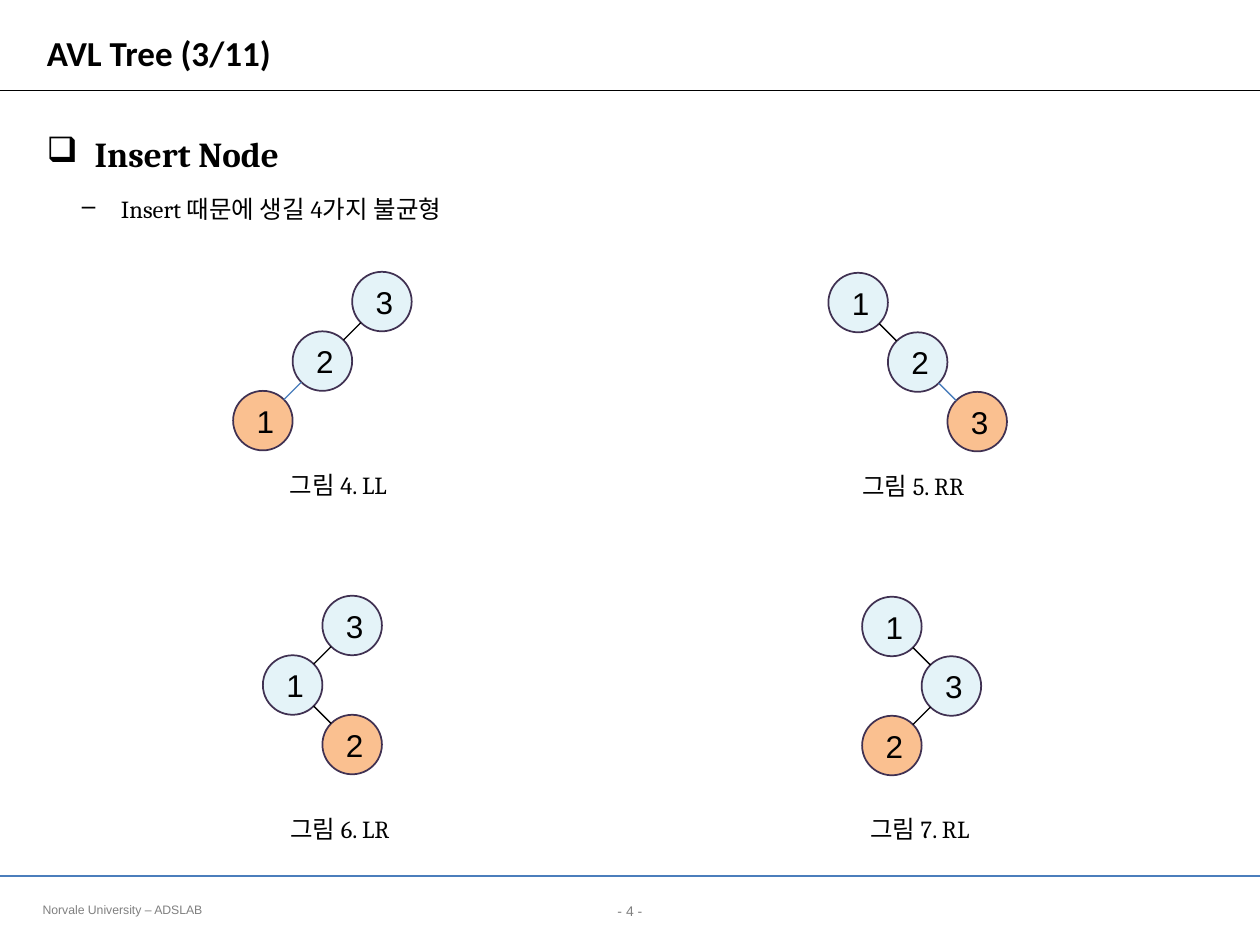
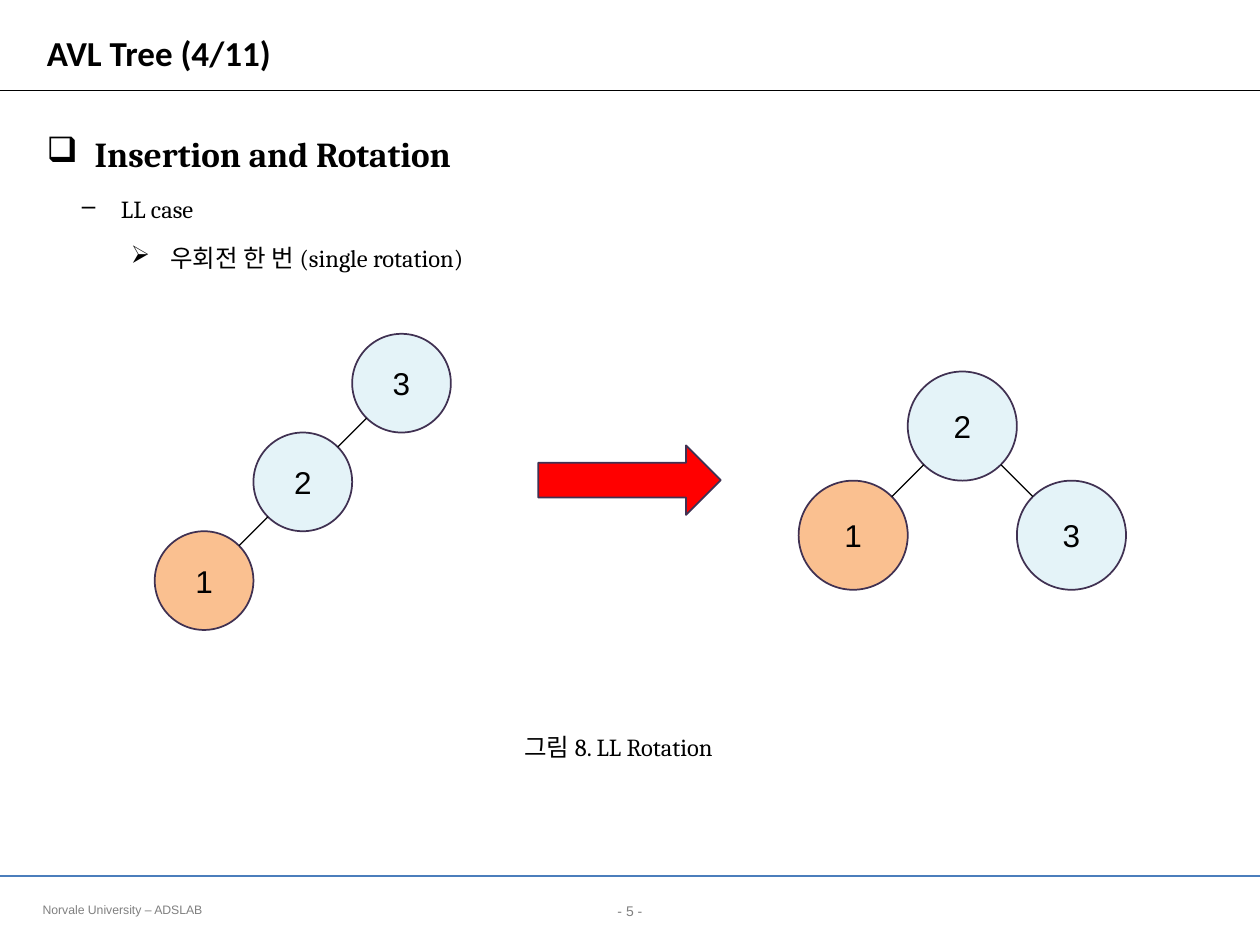
"""Build two AVL tree slides: the four insertion imbalances and the LL rotation."""
from dataclasses import dataclass

from lxml import etree
from pptx import Presentation
from pptx import util as u
from pptx.dml.color import RGBColor
from pptx.enum import shapes, text
from pptx.oxml.ns import qn


@dataclass(frozen=True)
class Theme:
    ink: str = "000000"
    grey: str = "808080"
    blue: str = "4B7EBC"
    outline: str = "403152"
    node: str = "E4F3F8"
    new_node: str = "FAC090"
    arrow: str = "FF0000"
    title_font: str = "Calibri"
    body_font: str = "Cambria"
    plain_font: str = "Arial"
    heading: float = 20
    label: float = 18
    body: float = 14
    page: float = 8
    footer: float = 7


T = Theme()


def add_run(p, words, size, font, color=T.ink, bold=False):
    r = p.add_run()
    r.text = words
    r.font.size = u.Pt(size)
    r.font.name = font
    r.font.bold = bold
    r.font.color.rgb = RGBColor.from_string(color)


def add_line(parent, x1, y1, x2, y2, color=T.ink, width=0.75):
    cx = parent.add_connector(shapes.MSO_CONNECTOR.STRAIGHT,
                              u.Cm(x1), u.Cm(y1), u.Cm(x2), u.Cm(y2))
    cx.line.color.rgb = RGBColor.from_string(color)
    cx.line.width = u.Pt(width)
    etree.SubElement(cx._element.spPr, qn("a:effectLst"))


WIDTH, HEIGHT = 25.4, 19.05
LEFT_MARGIN = 0.69
LEVELS = {
    "❑": (0.97, -0.97, T.heading, True),
    "–": (1.5, -0.79, T.body, False),
    "➢": (2.49, -0.79, T.body, False),
}

# Trees: left, top, node diameter, nodes as (label, column, row), new label, last edge colour.
SLIDES = [
    dict(
        page=4,
        title="AVL Tree (3/11)",
        outline=[("❑", "Insert Node"), ("–", "Insert 때문에 생길 4가지 불균형")],
        trees=[
            (4.7, 5.48, 1.2, [("3", 2, 0), ("2", 1, 1), ("1", 0, 2)], "1", T.blue),
            (16.7, 5.5, 1.2, [("1", 0, 0), ("2", 1, 1), ("3", 2, 2)], "3", T.blue),
            (5.3, 12.01, 1.2, [("3", 1, 0), ("1", 0, 1), ("2", 1, 2)], "2", T.ink),
            (17.38, 12.03, 1.2, [("1", 0, 0), ("3", 1, 1), ("2", 0, 2)], "2", T.ink),
        ],
        captions=[
            (5.59, 9.35, 2.64, "그림 4. LL"),
            (17.13, 9.37, 2.74, "그림 5. RR"),
            (5.6, 16.28, 2.7, "그림 6. LR"),
            (17.29, 16.28, 2.7, "그림 7. RL"),
        ],
        arrows=[],
    ),
    dict(
        page=5,
        title="AVL Tree (4/11)",
        outline=[("❑", "Insertion and Rotation"), ("–", "LL case"),
                 ("➢", "우회전 한 번 (single rotation)")],
        trees=[
            (3.12, 6.73, 1.99, [("3", 2, 0), ("2", 1, 1), ("1", 0, 2)], "1", T.ink),
            (16.1, 7.49, 2.2, [("1", 0, 1), ("2", 1, 0), ("3", 2, 1)], "1", T.ink),
        ],
        captions=[(10.32, 14.63, 4.6, "그림 8. LL Rotation")],
        arrows=[(10.85, 8.98, 3.68, 1.4)],
    ),
]

prs = Presentation()
prs.slide_width, prs.slide_height = u.Cm(WIDTH), u.Cm(HEIGHT)

for content in SLIDES:
    s = prs.slides.add_slide(prs.slide_layouts[5])
    add_line(s.shapes, 0, 1.83, WIDTH, 1.83)
    add_line(s.shapes, 0, 17.66, WIDTH, 17.66, T.blue, 1.5)

    sp = s.shapes.title
    sp.left, sp.top, sp.width, sp.height = (u.Cm(v) for v in (LEFT_MARGIN, 0.53, 23.85, 1.07))
    tf = sp.text_frame
    tf.auto_size = text.MSO_AUTO_SIZE.NONE
    tf.vertical_anchor = text.MSO_ANCHOR.MIDDLE
    p = tf.paragraphs[0]
    p.alignment = text.PP_ALIGN.LEFT
    add_run(p, content["title"], T.heading, T.title_font, bold=True)

    sp = s.shapes.add_textbox(u.Cm(LEFT_MARGIN), u.Cm(2.13), u.Cm(23.83), u.Cm(14.6))
    tf = sp.text_frame
    tf.word_wrap = True
    for i, (bullet, words) in enumerate(content["outline"]):
        indent, hanging, size, bold = LEVELS[bullet]
        p = tf.paragraphs[0] if i == 0 else tf.add_paragraph()
        p.line_spacing = 1.5
        p.space_before = u.Pt(0.2 * size if i else 0)
        pPr = p._p.get_or_add_pPr()
        pPr.set("marL", str(u.Cm(indent)))
        pPr.set("indent", str(u.Cm(hanging)))
        etree.SubElement(pPr, qn("a:buChar")).set("char", bullet)
        add_run(p, words, size, T.body_font, bold=bold)

    for left, top, d, nodes, new_label, last_color in content["trees"]:
        tree = s.shapes.add_group_shape().shapes
        for label, col, row in nodes:
            sp = tree.add_shape(shapes.MSO_SHAPE.OVAL, u.Cm(left + col * d),
                                u.Cm(top + row * d), u.Cm(d), u.Cm(d))
            sp.shadow.inherit = False
            sp.fill.solid()
            fill = T.new_node if label == new_label else T.node
            sp.fill.fore_color.rgb = RGBColor.from_string(fill)
            sp.line.color.rgb = RGBColor.from_string(T.outline)
            sp.line.width = u.Pt(1)
            tf = sp.text_frame
            tf.margin_left = tf.margin_right = u.Cm(0.3)
            tf.margin_top = tf.margin_bottom = u.Cm(0.1)
            tf.vertical_anchor = text.MSO_ANCHOR.MIDDLE
            p = tf.paragraphs[0]
            p.alignment = text.PP_ALIGN.CENTER
            add_run(p, label, T.label, T.plain_font)
        for (_, c1, r1), (end_label, c2, r2) in zip(nodes, nodes[1:]):
            x1, y1 = left + (c1 + 0.5) * d, top + (r1 + 0.5) * d
            trim_x, trim_y = 0.354 * d * (c2 - c1), 0.354 * d * (r2 - r1)
            x2, y2 = x1 + (c2 - c1) * d, y1 + (r2 - r1) * d
            color = last_color if end_label == nodes[-1][0] else T.ink
            add_line(tree, x1 + trim_x, y1 + trim_y, x2 - trim_x, y2 - trim_y, color)

    for left, top, width, height in content["arrows"]:
        sp = s.shapes.add_shape(shapes.MSO_SHAPE.RIGHT_ARROW, u.Cm(left), u.Cm(top),
                                u.Cm(width), u.Cm(height))
        sp.shadow.inherit = False
        sp.fill.solid()
        sp.fill.fore_color.rgb = RGBColor.from_string(T.arrow)
        sp.line.color.rgb = RGBColor.from_string(T.outline)
        sp.line.width = u.Pt(1)

    left_align, center = text.PP_ALIGN.LEFT, text.PP_ALIGN.CENTER
    boxes = [(x, y, w, 0.86, words, T.body, T.body_font, T.ink, left_align, False)
             for x, y, w, words in content["captions"]]
    boxes += [
        (0, 18.06, WIDTH, 0.61, f"- {content['page']} -",
         T.page, T.plain_font, T.grey, center, True),
        (0.61, 18.06, 9.75, 0.56, "Norvale University – ADSLAB",
         T.footer, T.plain_font, T.grey, left_align, True),
    ]
    for x, y, w, h, words, size, font, color, align, wrap in boxes:
        tf = s.shapes.add_textbox(u.Cm(x), u.Cm(y), u.Cm(w), u.Cm(h)).text_frame
        tf.word_wrap = wrap
        tf.auto_size = text.MSO_AUTO_SIZE.SHAPE_TO_FIT_TEXT
        p = tf.paragraphs[0]
        p.alignment = align
        add_run(p, words, size, font, color)

prs.save("out.pptx")
